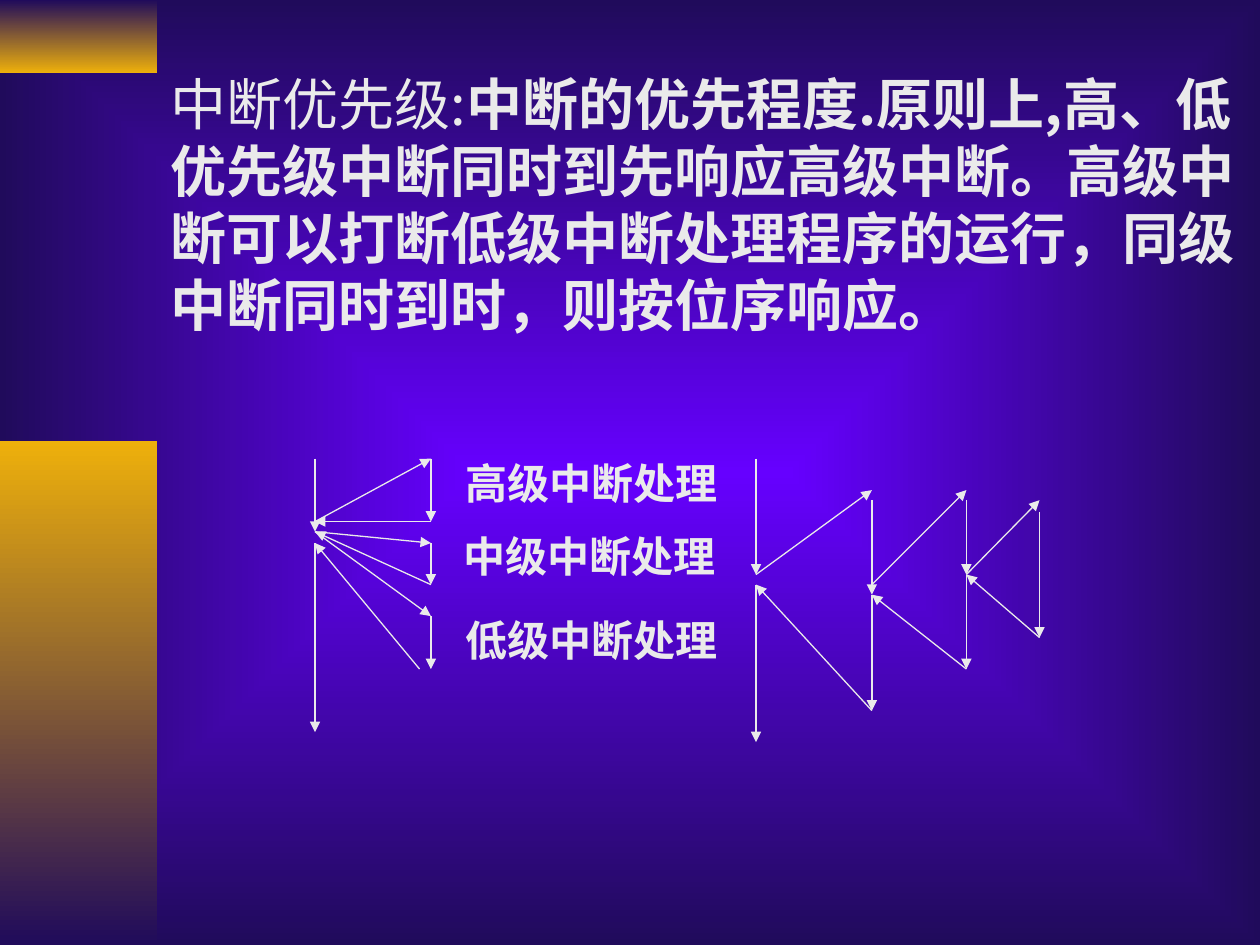
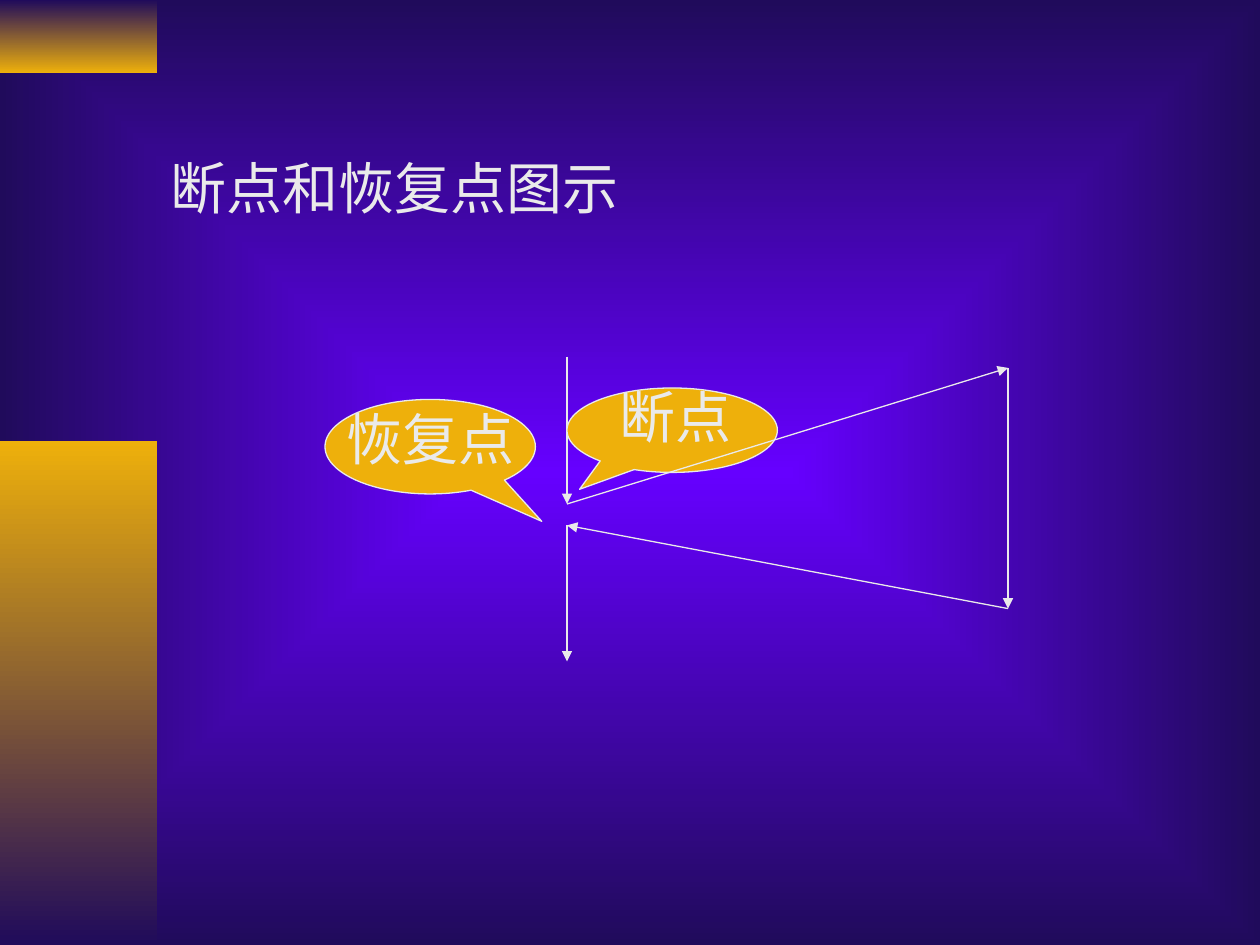
"""Build two slides on interrupt priority, break points and resume points."""
import pptx
import pptx.util
import pptx.dml.color
import pptx.enum.shapes
import pptx.enum.text
import pptx.oxml.ns
from lxml import etree

Inches = pptx.util.Inches
Pt = pptx.util.Pt
RGBColor = pptx.dml.color.RGBColor
qn = pptx.oxml.ns.qn

PALE = RGBColor(0xEA, 0xEA, 0xEA)
GOLD = RGBColor(0xEE, 0xB0, 0x0B)
NAVY = RGBColor(0x20, 0x0B, 0x5B)
VIOLET = RGBColor(0x66, 0x00, 0xFF)
CJK_FONT = "Noto Sans CJK SC"
LATIN_FONT = "Times New Roman"


def write_text(box, place, runs, size=32, font=CJK_FONT, wrap=False):
    """Place a text box or title and fill its one paragraph with (text, bold) runs."""
    box.left, box.top, box.width, box.height = map(Inches, place)
    frame = box.text_frame
    frame.word_wrap = wrap
    frame.auto_size = pptx.enum.text.MSO_AUTO_SIZE.NONE
    frame.vertical_anchor = pptx.enum.text.MSO_ANCHOR.TOP
    paragraph = frame.paragraphs[0]
    paragraph.alignment = pptx.enum.text.PP_ALIGN.LEFT
    paragraph._p.get_or_add_pPr().set("hangingPunct", "0")
    paragraph.font.size = Pt(size)
    paragraph.font.name = font
    paragraph.font.color.rgb = PALE
    for text, bold in runs:
        run = paragraph.add_run()
        run.text = text
        run.font.bold = bold
        properties = run.font._element
        etree.SubElement(properties, qn("a:ea")).set("typeface", CJK_FONT)


def draw_arrows(slide, stops):
    """Draw an arrow from each stop to the next."""
    for start, end in zip(stops, stops[1:]):
        arrow = slide.shapes.add_connector(
            pptx.enum.shapes.MSO_CONNECTOR.STRAIGHT, *map(Inches, start + end))
        arrow.line.color.rgb = PALE
        arrow.line.width = Pt(0.75)
        properties = arrow.element.spPr
        etree.SubElement(properties.find(qn("a:ln")), qn("a:tailEnd")).set("type", "triangle")
        etree.SubElement(properties, qn("a:effectLst"))


prs = pptx.Presentation()
prs.slide_width, prs.slide_height = Inches(10), Inches(7.5)
title_only = prs.slide_layouts[5]
priority = prs.slides.add_slide(title_only)
break_point = prs.slides.add_slide(title_only)

master = prs.slide_master
backdrop = master.background.fill
backdrop.gradient()
for stop, colour in zip(backdrop.gradient_stops, (VIOLET, NAVY)):
    stop.color.rgb = colour
linear = master.element.xpath("./p:cSld/p:bg//a:lin")[0]
glow = etree.Element(qn("a:path"), path="rect")
etree.SubElement(glow, qn("a:fillToRect"), l="50000", t="50000", r="50000", b="50000")
linear.getparent().replace(linear, glow)

bands = [(0, 0.58, (NAVY, GOLD)), (3.5, 4, (GOLD, NAVY))]
for number, (top, height, colours) in enumerate(bands):
    band = priority.shapes.add_shape(
        pptx.enum.shapes.MSO_SHAPE.RECTANGLE, 0, Inches(top), Inches(1.25), Inches(height))
    band.shadow.inherit = False
    band.line.fill.background()
    band.fill.gradient()
    band.fill.gradient_angle = 270
    for stop, colour in zip(band.fill.gradient_stops, colours):
        stop.color.rgb = colour
    band.element.nvSpPr.cNvPr.set("id", str(20 + number))
    master.element.cSld.spTree.insert(2 + number, band.element)

write_text(priority.shapes.title, (1.25, 0.5, 8.75, 2.24), [
    ("中断优先级:", False),
    ("中断的优先程度.原则上,高、低优先级中断同时到先响应高级中断。"
     "高级中断可以打断低级中断处理程序的运行，同级中断同时到时，则按位序响应。", True),
], wrap=True)

sequential = [
    [(2.5, 3.64), (2.5, 4.22)],
    [(2.5, 4.14), (3.42, 3.64), (3.42, 4.14), (2.5, 4.14)],
    [(2.5, 4.22), (3.42, 4.31), (3.42, 4.64), (2.5, 4.22), (3.42, 4.89), (3.42, 5.31)],
    [(3.33, 5.31), (2.5, 4.31), (2.5, 5.81)],
]
nested = [
    [(6, 3.64), (6, 4.56), (6.92, 3.89)],
    [(6.92, 3.97), (6.92, 4.72)],
    [(6.92, 4.64), (7.67, 3.89)],
    [(7.67, 3.97), (7.67, 4.56), (8.25, 3.97)],
    [(8.25, 4.06), (8.25, 5.06), (7.67, 4.56), (7.67, 5.31),
     (6.92, 4.72), (6.92, 5.64), (6, 4.64), (6, 5.89)],
]
for stops in sequential + nested:
    draw_arrows(priority, stops)

for level, left, top in [("高", 3.6, 3.58), ("中", 3.58, 4.16), ("低", 3.6, 4.83)]:
    write_text(priority.shapes.add_textbox(0, 0, 0, 0), (left, top, 2.2, 0.5),
               [(level + "级中断处理", True)], size=24, font=LATIN_FONT)

write_text(break_point.shapes.title, (1.25, 1.17, 3.85, 0.64), [("断点和恢复点图示", False)])
draw_arrows(break_point, [(4.5, 2.83), (4.5, 4)])

callouts = [
    ("断点", (4.5, 3.08, 1.67, 0.67), (-0.44, 0.7), (4.82, 2.99, 1.09, 0.64),
     [(4.5, 4), (8, 2.92), (8, 4.83), (4.5, 4.17)]),
    ("恢复点", (2.58, 3.17, 1.67, 0.75), (0.53, 0.79), (2.65, 3.16, 1.53, 0.64),
     [(4.5, 4.17), (4.5, 5.25)]),
]
for name, place, pointer, name_place, following in callouts:
    callout = break_point.shapes.add_shape(
        pptx.enum.shapes.MSO_SHAPE.OVAL_CALLOUT, *map(Inches, place))
    callout.adjustments[0], callout.adjustments[1] = pointer
    callout.shadow.inherit = False
    callout.fill.solid()
    callout.fill.fore_color.rgb = GOLD
    callout.line.color.rgb = PALE
    callout.line.width = Pt(0.75)
    write_text(break_point.shapes.add_textbox(0, 0, 0, 0), name_place, [(name, False)])
    draw_arrows(break_point, following)

prs.save("out.pptx")
